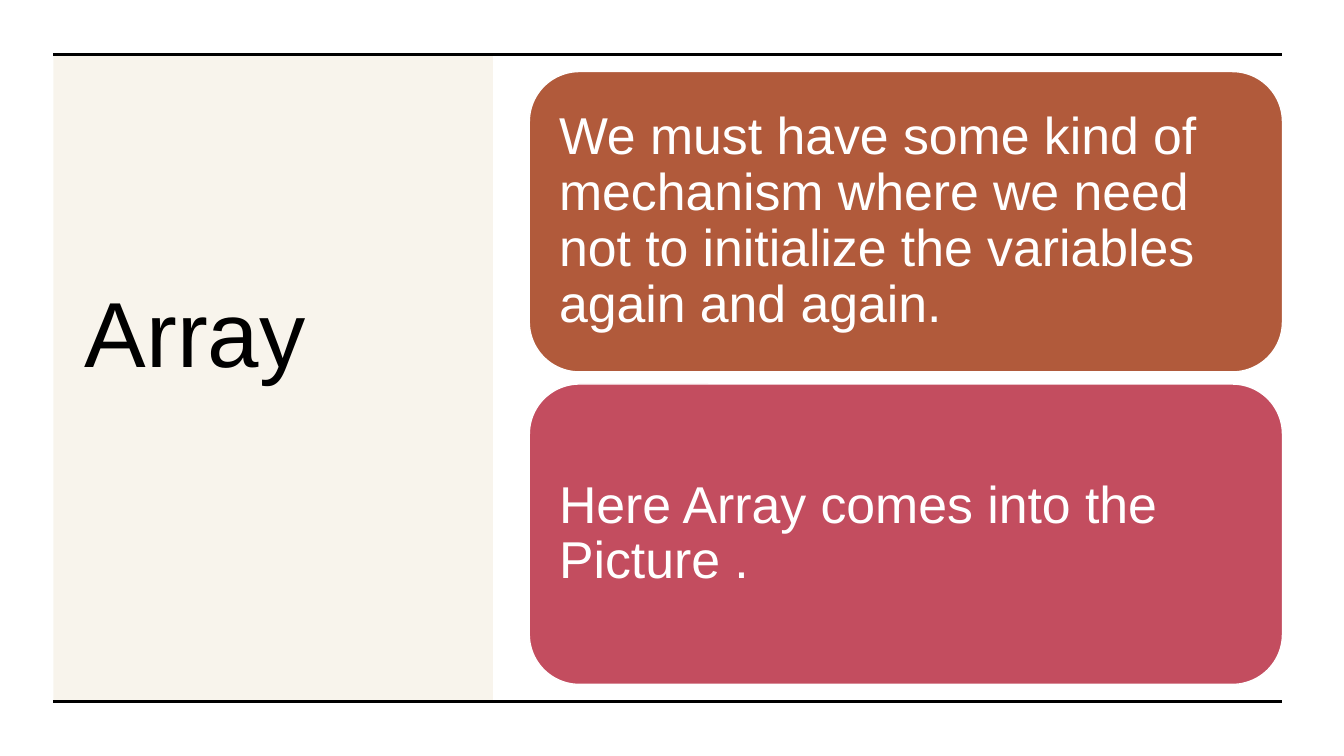
from dataclasses import dataclass

from lxml import etree
from pptx import Presentation
from pptx.dml.color import RGBColor
from pptx.enum.shapes import MSO_CONNECTOR, MSO_SHAPE
from pptx.enum.text import MSO_ANCHOR, MSO_AUTO_SIZE, PP_ALIGN
from pptx.oxml.ns import qn
from pptx.util import Inches, Pt


@dataclass(frozen=True)
class Theme:
    font: str = "Arial"
    title_size: int = 66
    card_size: int = 37
    line_spacing: float = 0.9
    black: RGBColor = RGBColor.from_string("000000")
    white: RGBColor = RGBColor.from_string("FFFFFF")
    gold: RGBColor = RGBColor.from_string("C19B4C")
    rust: RGBColor = RGBColor.from_string("B15A3B")
    rose: RGBColor = RGBColor.from_string("C34D5F")


THEME = Theme()
LEFT, RIGHT, TOP, BOTTOM = 0.53, 12.72, 0.54, 6.96
CARDS = [
    ("We must have some kind of mechanism where we need not to "
     "initialize the variables again and again.", THEME.rust),
    ("Here Array comes into the Picture .", THEME.rose),
]


def write_text(frame, text, size, color):
    """Set one left-aligned, vertically centred paragraph."""
    frame.word_wrap = True
    frame.auto_size = MSO_AUTO_SIZE.NONE
    frame.vertical_anchor = MSO_ANCHOR.MIDDLE
    paragraph = frame.paragraphs[0]
    paragraph.alignment = PP_ALIGN.LEFT
    paragraph.line_spacing = THEME.line_spacing
    run = paragraph.add_run()
    run.text = text
    run.font.name = THEME.font
    run.font.size = Pt(size)
    run.font.color.rgb = color


def add_filled_shape(slide, kind, box, color):
    shape = slide.shapes.add_shape(kind, *map(Inches, box))
    shape.shadow.inherit = False
    shape.fill.solid()
    shape.fill.fore_color.rgb = color
    return shape


def add_rule(slide, y):
    line = slide.shapes.add_connector(
        MSO_CONNECTOR.STRAIGHT, Inches(LEFT), Inches(y), Inches(RIGHT), Inches(y))
    line.line.color.rgb = THEME.black
    line.line.width = Pt(2.25)
    etree.SubElement(line._element.spPr, qn("a:effectLst"))


def add_title_panel(slide, box):
    left, top, width, height = box
    # Tinted panel, kept behind the title
    panel = add_filled_shape(slide, MSO_SHAPE.RECTANGLE, box, THEME.gold)
    panel.line.fill.background()
    tint = panel._element.spPr.find(qn("a:solidFill"))[0]
    etree.SubElement(tint, qn("a:alpha"), val="10000")
    title = slide.shapes.title
    title._element.addprevious(panel._element)

    # Title, raised by a deep bottom margin
    title.left, title.top = Inches(left + 0.21), Inches(top + 0.53)
    title.width, title.height = Inches(width - 0.47), Inches(height - 0.91)
    title.text_frame.margin_bottom = Inches(1)
    write_text(title.text_frame, "Array", THEME.title_size, THEME.black)


def add_cards(slide, box, gap):
    left, top, width, height = box
    card_height = (height - gap * (len(CARDS) - 1)) / len(CARDS)
    for index, (text, color) in enumerate(CARDS):
        card_top = top + index * (card_height + gap)
        card = add_filled_shape(slide, MSO_SHAPE.ROUNDED_RECTANGLE,
                                (left, card_top, width, card_height), color)
        card.line.color.rgb = THEME.white
        card.line.width = Pt(1)
        frame = card.text_frame
        frame.margin_left = frame.margin_right = Inches(0.15)
        frame.margin_top = frame.margin_bottom = Inches(0.15)
        write_text(frame, text, THEME.card_size, THEME.white)


def main():
    presentation = Presentation()
    presentation.slide_width = Inches(13.33)
    presentation.slide_height = Inches(7.5)
    slide = presentation.slides.add_slide(presentation.slide_layouts[5])

    add_title_panel(slide, (LEFT, TOP, 4.36, 6.41))
    # Rules above and below the content
    for y in (TOP, BOTTOM):
        add_rule(slide, y)
    add_cards(slide, (5.25, 0.71, 7.47, 6.08), gap=0.12)

    presentation.save("out.pptx")


if __name__ == "__main__":
    main()
